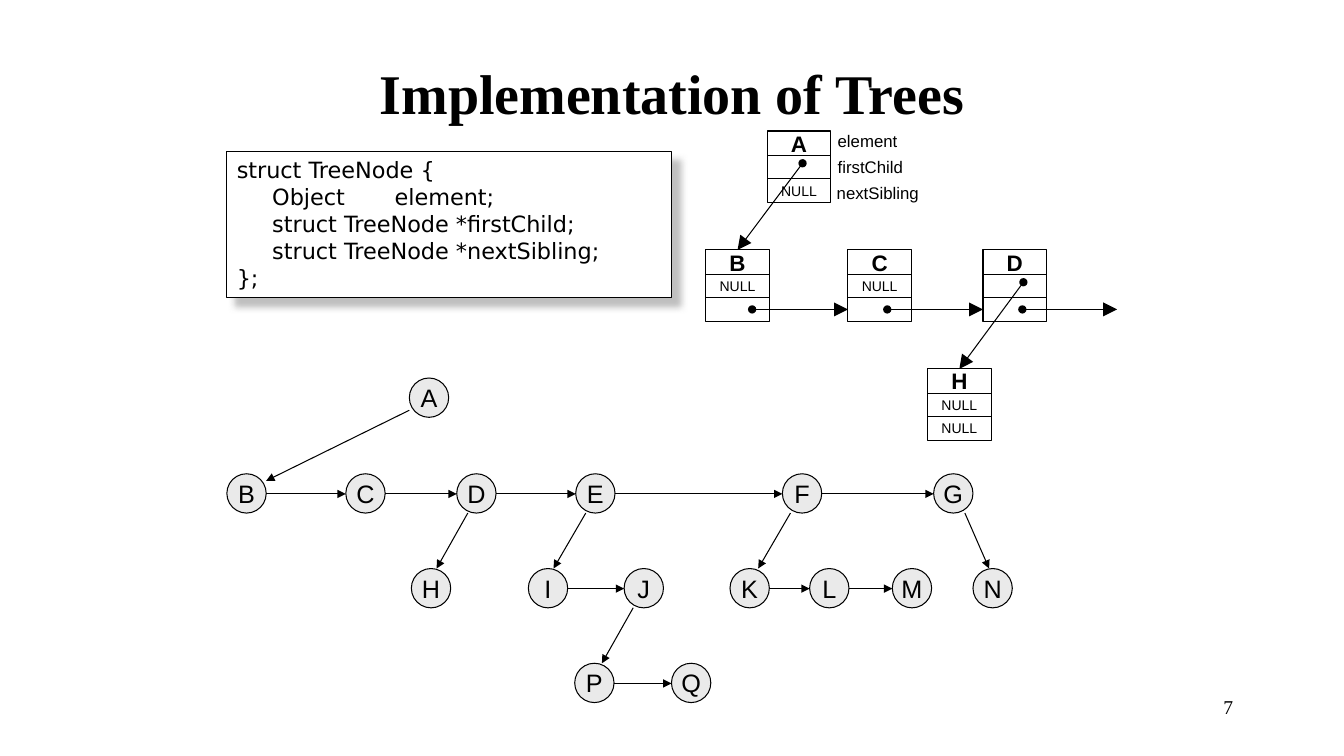
"""Build the slide on storing a tree with first-child and next-sibling links."""
from lxml.etree import SubElement
from pptx import Presentation
from pptx.dml.color import RGBColor as RGB
from pptx.enum.shapes import MSO_CONNECTOR as CONN, MSO_SHAPE as SHAPE
from pptx.enum.text import MSO_ANCHOR as ANCHOR, PP_ALIGN as ALIGN
from pptx.oxml.ns import qn
from pptx.util import Pt

PX = 9144
THEME = {
    "ink": RGB(0, 0, 0), "paper": RGB(255, 255, 255), "node": RGB(0xEA, 0xEA, 0xEA),
    "shadow": "808080", "line": Pt(0.75),
    "serif": "Times New Roman", "sans": "Arial", "code": "DejaVu Sans",
    "title": Pt(40), "letter": Pt(18), "body": Pt(16), "number": Pt(14),
    "label": Pt(12), "null": Pt(10),
}

prs = Presentation()
prs.slide_width, prs.slide_height = 1333 * PX, 750 * PX
slide = prs.slides.add_slide(prs.slide_layouts[6])


def add_box(kind, rect, text, size, font="sans", fill=None, bold=False,
            align=ALIGN.CENTER, anchor=ANCHOR.MIDDLE, wrap=False):
    rect = [v * PX for v in rect]
    if kind is None:
        s = slide.shapes.add_textbox(*rect)
    else:
        s = slide.shapes.add_shape(kind, *rect)
        s.shadow.inherit = False
        s.line.color.rgb, s.line.width = THEME["ink"], THEME["line"]
        if fill:
            s.fill.solid()
            s.fill.fore_color.rgb = THEME[fill]
        else:
            s.fill.background()
    if text:
        tf = s.text_frame
        tf.word_wrap, tf.vertical_anchor = wrap, anchor
        tf.text = text
        for p in tf.paragraphs:
            p.alignment = align
            p.font.name, p.font.size, p.font.bold = THEME[font], THEME[size], bold
            p.font.color.rgb = THEME["ink"]
    return s


def add_arrow(x1, y1, x2, y2, tail="med", head=None):
    c = slide.shapes.add_connector(CONN.STRAIGHT, x1 * PX, y1 * PX, x2 * PX, y2 * PX)
    c.line.color.rgb, c.line.width = THEME["ink"], THEME["line"]
    ln = c._element.spPr.find(qn("a:ln"))
    if head:
        SubElement(ln, qn("a:headEnd"), type=head)
    SubElement(ln, qn("a:tailEnd"), type="triangle", w=tail, len=tail)
    SubElement(c._element.spPr, qn("a:effectLst"))
    return c


add_box(None, (100, 50, 1133, 83), "Implementation of Trees", "title", "serif",
        bold=True, wrap=True)
add_box(None, (955, 684, 278, 50), "7", "number", "serif",
        align=ALIGN.RIGHT, anchor=ANCHOR.TOP, wrap=True)

code = """struct TreeNode {
     Object       element;
     struct TreeNode *firstChild;
     struct TreeNode *nextSibling;
};"""
s = add_box(SHAPE.RECTANGLE, (225, 150, 441, 145), code, "body", "code", "paper",
            align=ALIGN.LEFT, anchor=ANCHOR.TOP, wrap=True)
shadow = SubElement(s._element.spPr.find(qn("a:effectLst")), qn("a:outerShdw"),
                    blurRad=str(Pt(5)), dist=str(Pt(8.5)), dir="2700000",
                    algn="tl", rotWithShape="0")
color = SubElement(shadow, qn("a:srgbClr"), val=THEME["shadow"])
SubElement(color, qn("a:alpha"), val="50000")

D = 39
levels = [
    (375, {"A": 406}),
    (470, {"B": 225, "C": 343, "D": 453, "E": 571, "F": 776, "G": 926}),
    (564, {"H": 408, "I": 524, "J": 619, "K": 724, "L": 803, "M": 885, "N": 965}),
    (658, {"P": 570, "Q": 666}),
]
nodes = {}
for y, row in levels:
    for name, x in row.items():
        nodes[name] = x, y
        s = add_box(SHAPE.OVAL, (x, y, D, D), name, "letter", fill="node")
        tf = s.text_frame
        tf.margin_left = tf.margin_right = tf.margin_top = tf.margin_bottom = 0

for siblings in ("BCDEFG", "IJ", "KLM", "PQ"):
    for a, b in zip(siblings, siblings[1:]):
        x, y = nodes[a]
        add_arrow(x + D, y + 20, nodes[b][0], y + 20)

add_arrow(406, 407, 264, 477)
for parent, child, start, end in [("D", "H", 11, 25), ("E", "I", 10, 25), ("F", "K", 8, 28),
                                  ("G", "N", 31, 16), ("J", "P", 9, 27)]:
    (x1, y1), (x2, y2) = nodes[parent], nodes[child]
    add_arrow(x1 + start, y1 + D, x2 + end, y2)

records = [
    ("A", 761, 130, "", "NULL"),
    ("B", 700, 248, "NULL", ""),
    ("C", 841, 248, "NULL", ""),
    ("D", 975, 248, "", ""),
    ("H", 920, 366, "NULL", "NULL"),
]
cells = {}
for name, x, y, first_child, next_sibling in records:
    rows = [(0, 24, name), (24, 23, first_child), (47, 24, next_sibling)]
    cells[name] = [add_box(SHAPE.RECTANGLE, (x, y + top, 63, h), text,
                           "null" if top else "body", bold=top == 0)
                   for top, h, text in rows]

for x, y, child in [(796, 162, "B"), (1015, 280, "H")]:
    c = add_arrow(x, y, x - 65, y + 87, "lg", "oval")
    c.end_connect(cells[child][0], 0)
for x, sibling in [(746, "C"), (880, "D"), (1014, None)]:
    c = add_arrow(x, 307, x + 94, 307, "lg", "oval")
    if sibling:
        c.end_connect(cells[sibling][2], 1)

for x, y, w, field in [(821, 125, 80, "element"), (821, 151, 85, "firstChild"),
                       (820, 176, 102, "nextSibling")]:
    add_box(None, (x, y, w, 31), field, "label", align=ALIGN.LEFT, anchor=ANCHOR.TOP)

prs.save("out.pptx")
